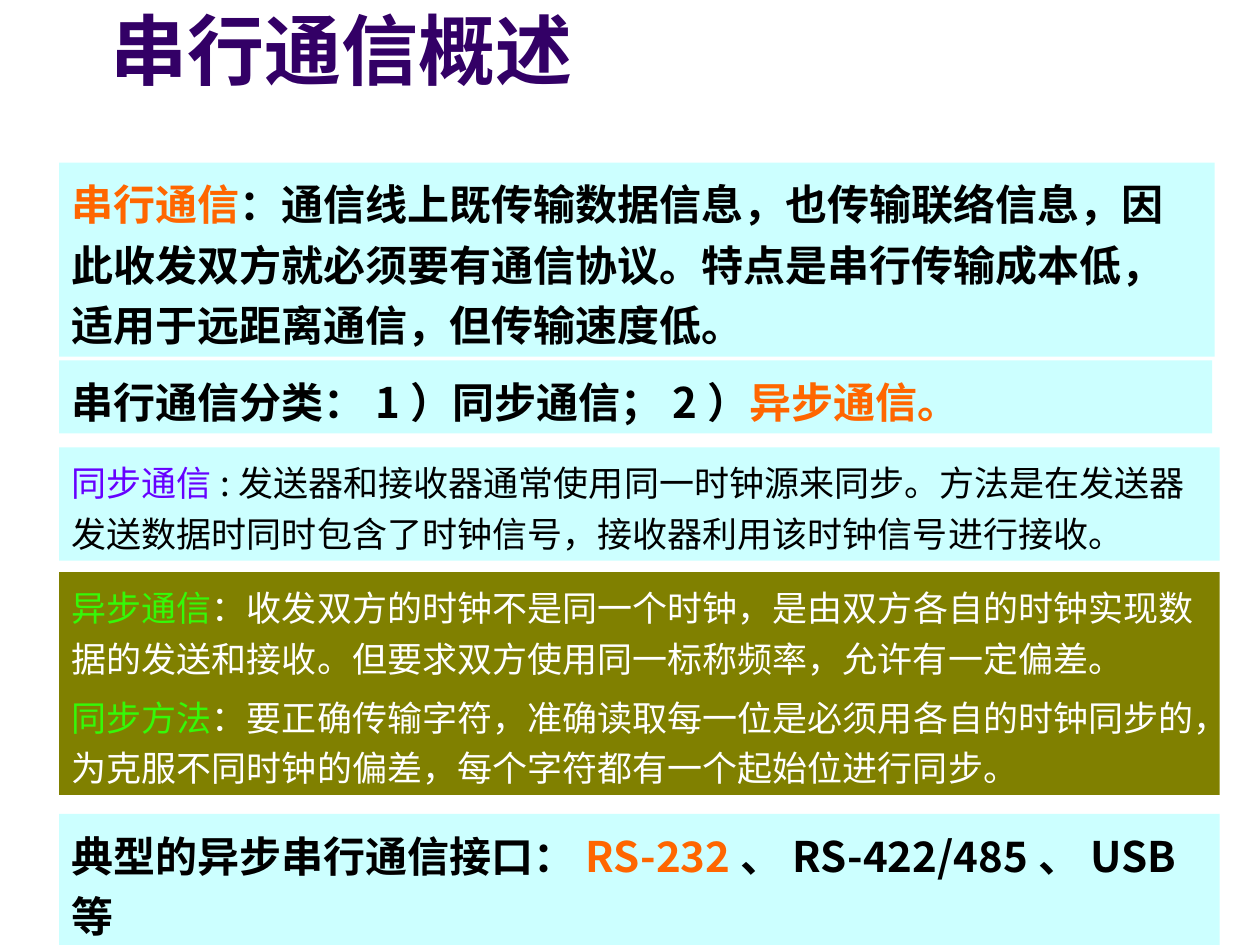
from pptx import Presentation
from pptx.dml.color import RGBColor
from pptx.enum.shapes import MSO_SHAPE as Shape
from pptx.enum.text import MSO_ANCHOR as Anchor, MSO_AUTO_SIZE as AutoSize, PP_ALIGN as Align
from pptx.oxml.ns import qn
from pptx.util import Inches, Pt
from lxml.etree import SubElement

COLORS = {
    "title": "330066", "pale": "CCFFFF", "olive": "808000", "black": "000000",
    "white": "FFFFFF", "orange": "FF6600", "violet": "6600FF", "green": "36F808",
}
CJK = "Noto Sans CJK SC"
LEFT = 0.47


class Page:
    """Holds the text style and the current slide."""

    def __init__(self, deck):
        self.slide = deck.slides.add_slide(deck.slide_layouts[5])

    def color(self, name):
        return RGBColor.from_string(COLORS[name])

    def span(self, para, text, color, size, bold, font):
        span = para.add_run()
        span.text = text
        span.font.size = Pt(size)
        span.font.bold = bold
        span.font.name = font
        span.font.color.rgb = self.color(color)
        SubElement(span.font._element, qn("a:ea")).set("typeface", CJK)

    def title(self, text):
        box = self.slide.shapes.title
        box.left, box.top = Inches(0.61), Inches(0.14)
        box.width, box.height = Inches(5.51), Inches(0.66)
        frame = box.text_frame
        frame.auto_size = AutoSize.NONE
        frame.vertical_anchor = Anchor.BOTTOM
        frame.margin_left = Inches(0.27)
        para = frame.paragraphs[0]
        para.alignment = Align.LEFT
        self.span(para, text, "title", 44, True, "Arial")

    def panel(self, top, width, height, paras, fill="pale", size=24, bold=True, font=CJK):
        """Add a filled box; each paragraph is a list of (text, color) spans."""
        box = self.slide.shapes.add_shape(
            Shape.RECTANGLE, Inches(LEFT), Inches(top), Inches(width), Inches(height))
        box.shadow.inherit = False
        box.fill.solid()
        box.fill.fore_color.rgb = self.color(fill)
        box.line.fill.background()
        frame = box.text_frame
        frame.word_wrap = True
        frame.auto_size = AutoSize.SHAPE_TO_FIT_TEXT
        frame.vertical_anchor = Anchor.TOP
        for index, spans in enumerate(paras):
            para = frame.add_paragraph() if index else frame.paragraphs[0]
            para.alignment = Align.LEFT
            para.line_spacing = 1.2
            para.space_before = Pt(5 if index else 0)
            for text, color in spans:
                self.span(para, text, color, size, bold, font)


def main():
    deck = Presentation()
    deck.slide_width, deck.slide_height = Inches(10), Inches(7.5)
    page = Page(deck)
    page.title("串行通信概述")
    page.panel(1.29, 9.17, 1.54, [[
        ("串行通信", "orange"),
        ("：通信线上既传输数据信息，也传输联络信息，因此收发双方就必须要有通信协议。"
         "特点是串行传输成本低，适用于远距离通信，但传输速度低。", "black"),
    ]], font="Roboto")
    page.panel(2.86, 9.15, 0.58, [[
        ("串行通信分类：1）同步通信；2）", "black"),
        ("异步通信。", "orange"),
    ]])
    page.panel(3.55, 9.21, 0.9, [[
        ("同步通信", "violet"),
        (":发送器和接收器通常使用同一时钟源来同步。方法是在发送器发送数据时"
         "同时包含了时钟信号，接收器利用该时钟信号进行接收。", "black"),
    ]], size=20, bold=False)
    page.panel(4.54, 9.21, 1.77, [
        [("异步通信", "green"),
         ("：收发双方的时钟不是同一个时钟，是由双方各自的时钟实现数据的发送和接收。"
          "但要求双方使用同一标称频率，允许有一定偏差。", "white")],
        [("同步方法", "green"),
         ("：要正确传输字符，准确读取每一位是必须用各自的时钟同步的，"
          "为克服不同时钟的偏差，每个字符都有一个起始位进行同步。", "white")],
    ], fill="olive", size=20, bold=False)
    page.panel(6.46, 9.21, 1.06, [[
        ("典型的异步串行通信接口：", "black"),
        ("RS-232", "orange"),
        ("、RS-422/485、USB等", "black"),
    ]])
    deck.save("out.pptx")


if __name__ == "__main__":
    main()
